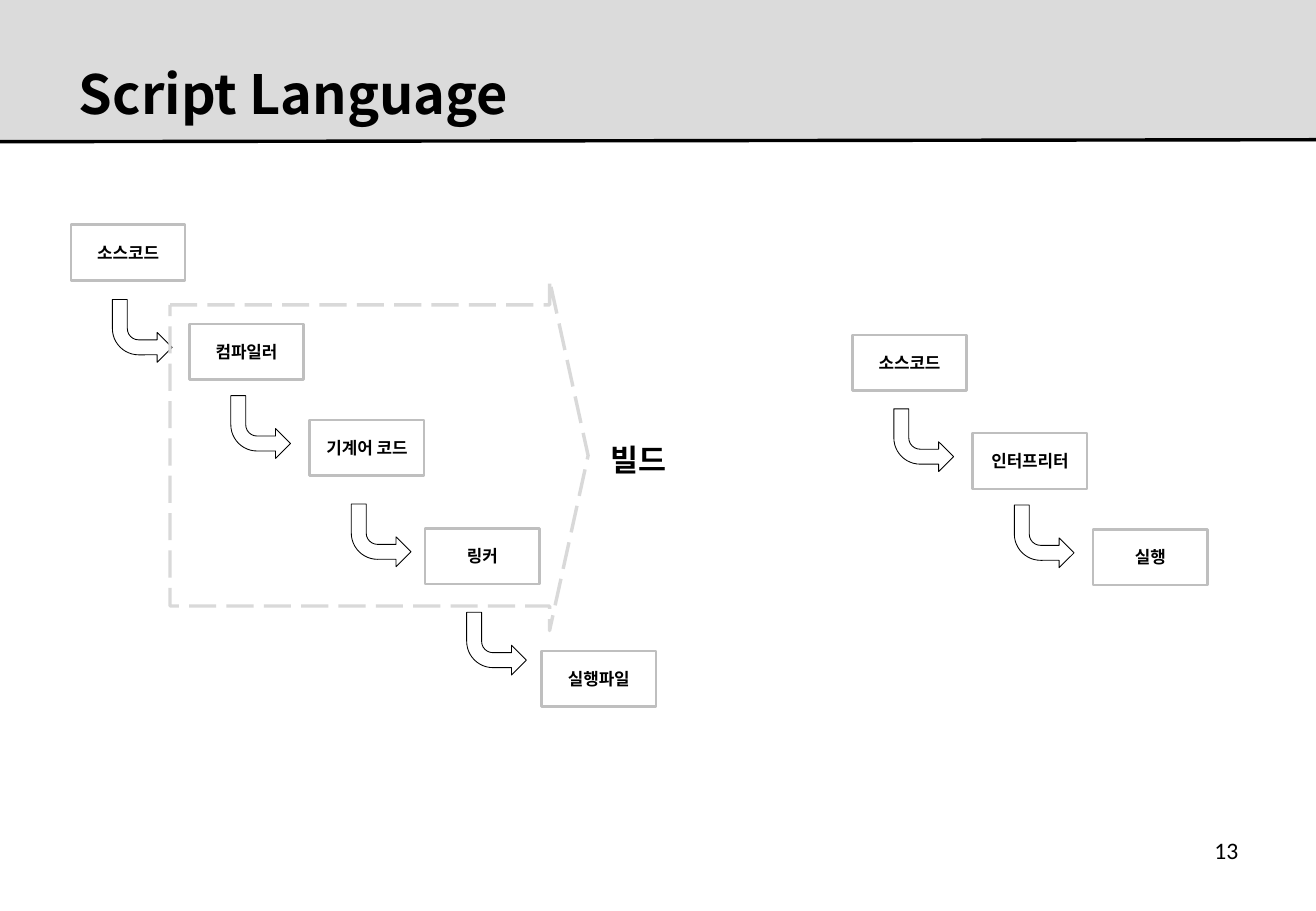
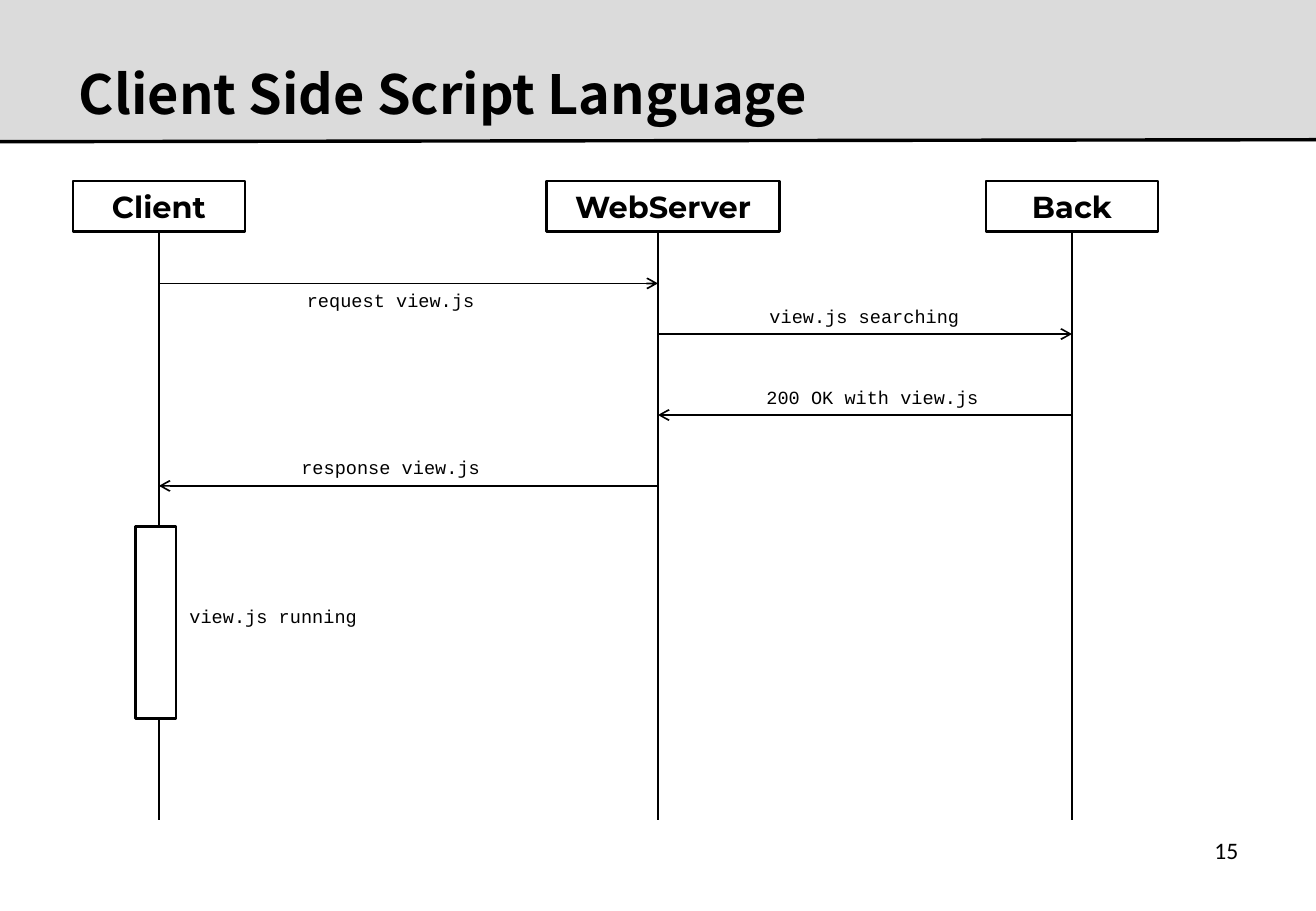
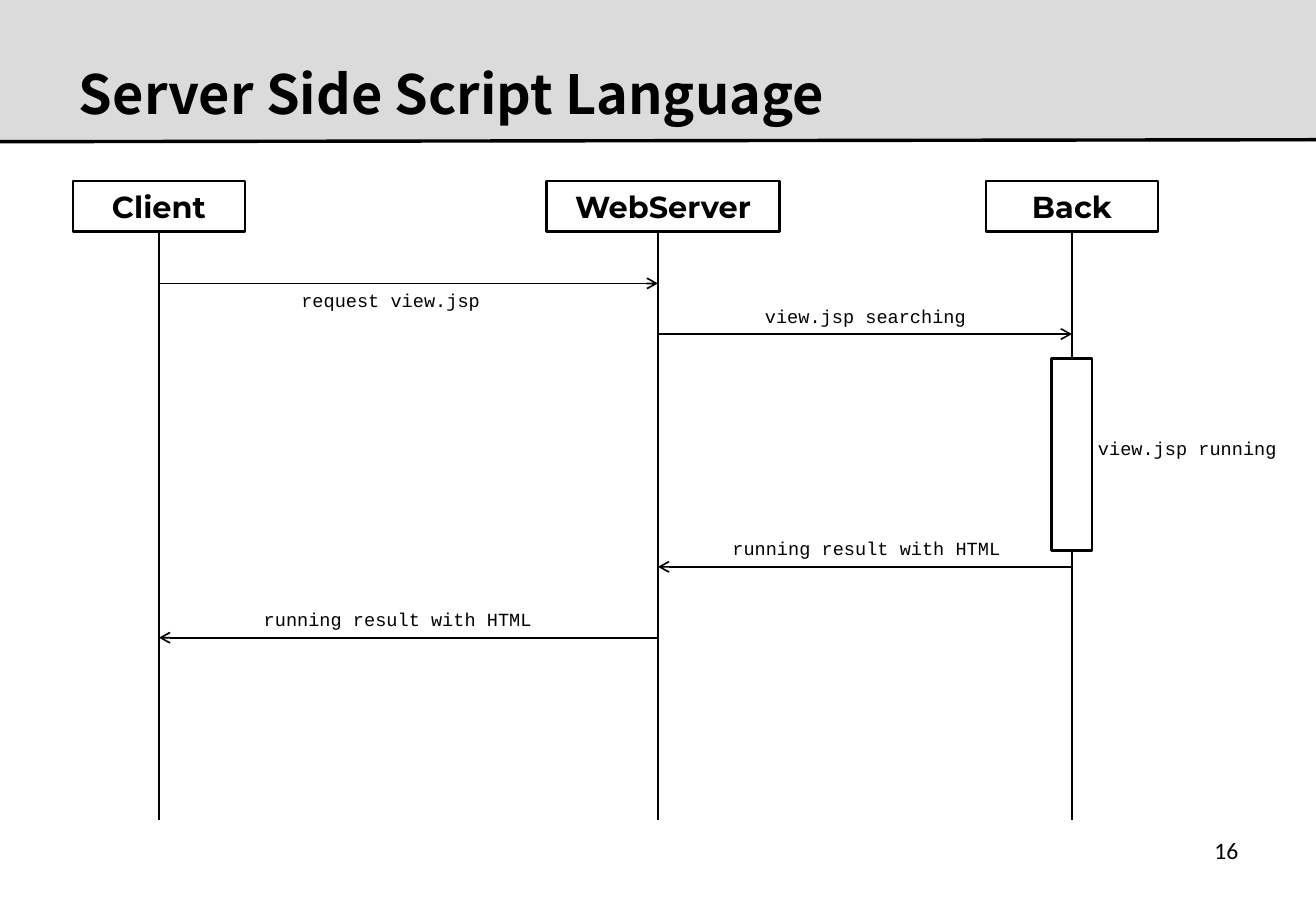
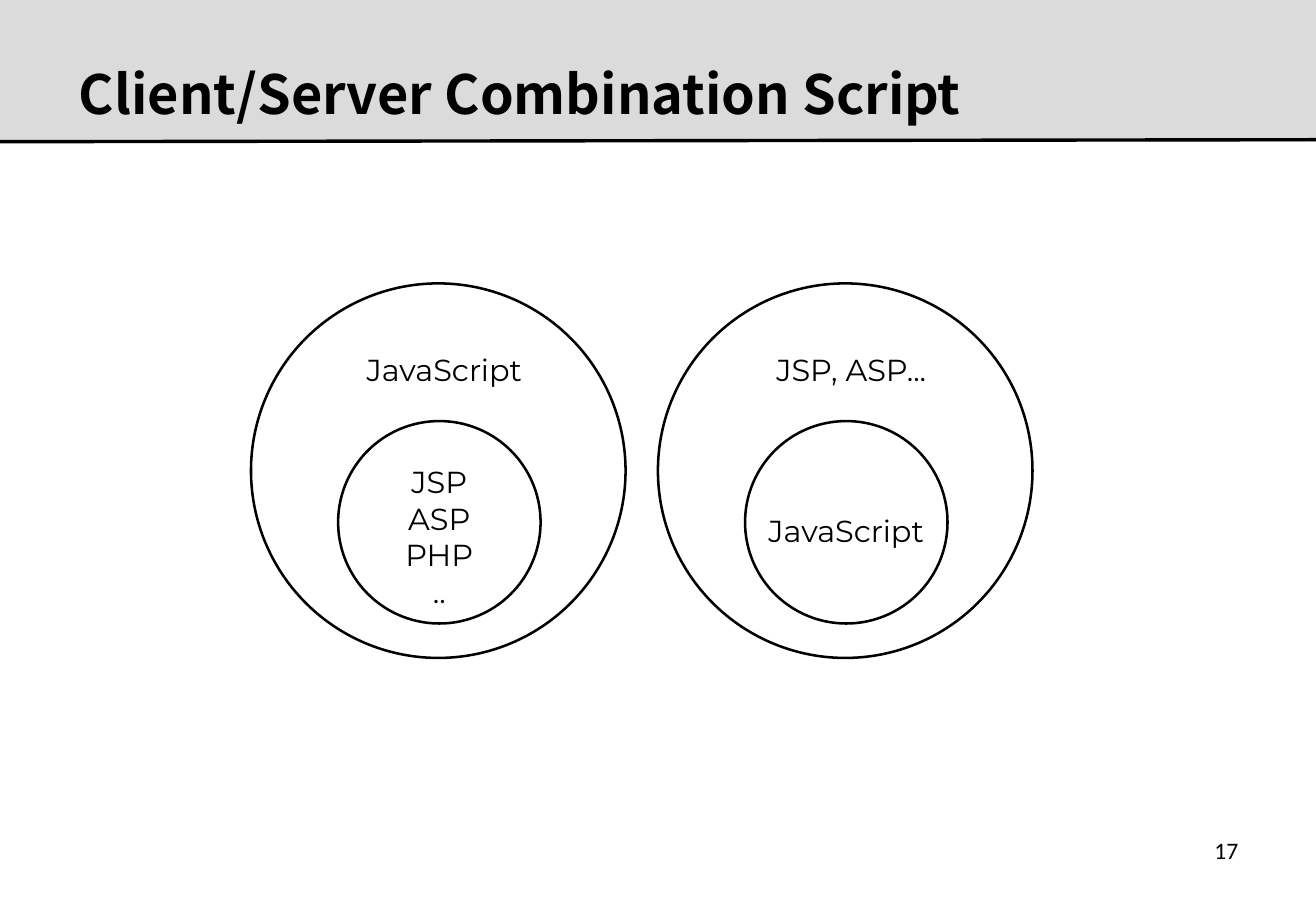
"""Build four slides about script languages: two flows, two sequences and a nesting diagram."""
from lxml.etree import SubElement
from pptx import Presentation
from pptx.dml.color import RGBColor
from pptx.enum.dml import MSO_LINE
from pptx.enum.shapes import MSO_CONNECTOR, MSO_SHAPE as Preset
from pptx.enum.text import MSO_ANCHOR as Anchor, PP_ALIGN as Align
from pptx.oxml.ns import qn
from pptx.util import Emu, Pt

EMU_PER_PX = 7620
SLIDE_WIDTH, SLIDE_HEIGHT = 1300, 900
BLACK, WHITE, BAND_GRAY = "000000", "FFFFFF", "DBDBDB"
BOX_GRAY, DASH_GRAY = "BFBFBF", "D9D9D9"
TITLE_FONT, BODY_FONT = "Noto Sans CJK KR", "Calibri"
CODE_FONT, LABEL_FONT = "Courier New", "Montserrat"

FLOW = {
    "title": "Script Language", "page": "13",
    "chains": [
        [("소스코드", 70, 222), ("컴파일러", 187, 320), ("기계어 코드", 306, 415),
         ("링커", 420, 522), ("실행파일", 535, 643)],
        [("소스코드", 842, 331), ("인터프리터", 961, 428), ("실행", 1080, 523)],
    ],
    "build": "빌드",
}
STEP_WIDTH, STEP_HEIGHT = 113, 55
BEND_WIDTH, BEND_HEIGHT = 59, 62

ACTORS = {
    "Client": (72, 170, 157),
    "WebServer": (540, 230, 650),
    "Back": (974, 170, 1059),
}
HEAD_TOP, HEAD_HEIGHT, LIFELINE_END = 179, 50, 810
BAR_WIDTH, BAR_HEIGHT, LABEL_HEIGHT = 40, 190, 35
SEQUENCES = [
    {
        "title": "Client Side Script Language", "page": "15",
        "messages": [
            ("request view.js", "Client", "WebServer", 280, 386, "below"),
            ("view.js searching", "WebServer", "Back", 330, 854, "above"),
            ("200 OK with view.js", "Back", "WebServer", 410, 862, "above"),
            ("response view.js", "WebServer", "Client", 480, 386, "above"),
        ],
        "running": ("view.js running", 134, 520, 270),
    },
    {
        "title": "Server Side Script Language", "page": "16",
        "messages": [
            ("request view.jsp", "Client", "WebServer", 280, 386, "below"),
            ("view.jsp searching", "WebServer", "Back", 330, 855, "above"),
            ("running result with HTML", "Back", "WebServer", 560, 856, "above"),
            ("running result with HTML", "WebServer", "Client", 630, 393, "above"),
        ],
        "running": ("view.jsp running", 1039, 354, 1173),
    },
]

NESTING = {
    "title": "Client/Server Combination Script", "page": "17",
    "pairs": [
        (["JavaScript"], ["JSP", "ASP", "PHP", ".."], 452),
        (["JSP, ASP..."], ["JavaScript"], 500),
    ],
}
PAIR_LEFT, PAIR_STEP, OUTER_SIZE, INNER_SIZE = 248, 402, 370, 200


def px(length):
    return Emu(round(length * EMU_PER_PX))


def color(value):
    return RGBColor.from_string(value)


def write(shape, lines, font, size, bold=False, align=Align.CENTER, anchor=Anchor.MIDDLE):
    frame = shape.text_frame
    frame.word_wrap = True
    frame.vertical_anchor = anchor
    frame.text = "\n".join(lines)
    for paragraph in frame.paragraphs:
        paragraph.alignment = align
        paragraph.font.name = font
        paragraph.font.size = Pt(size)
        paragraph.font.bold = bold
        paragraph.font.color.rgb = color(BLACK)


def add_label(slide, box, lines, font, size, bold=False, align=Align.CENTER):
    label = slide.shapes.add_textbox(*map(px, box))
    write(label, lines, font, size, bold, align, Anchor.TOP)


def add_block(slide, preset, box, line=BLACK, width=1.5, fill=WHITE):
    shape = slide.shapes.add_shape(preset, *map(px, box))
    shape.shadow.inherit = False
    if fill:
        shape.fill.solid()
        shape.fill.fore_color.rgb = color(fill)
    else:
        shape.fill.background()
    if line:
        shape.line.color.rgb = color(line)
        shape.line.width = Pt(width)
    else:
        shape.line.fill.background()
    return shape


def add_line(slide, start, end, width, arrow=False):
    line = slide.shapes.add_connector(MSO_CONNECTOR.STRAIGHT, *map(px, start + end))
    line.line.color.rgb = color(BLACK)
    line.line.width = Pt(width)
    properties = line.element.spPr
    if arrow:
        SubElement(properties.find(qn("a:ln")), qn("a:tailEnd"), type="arrow")
    SubElement(properties, qn("a:effectLst"))
    return line


def add_header(slide, layout):
    band = add_block(slide, Preset.RECTANGLE, (0, 0, SLIDE_WIDTH, 140), None, fill=BAND_GRAY)
    rule = add_line(slide, (0, 140), (SLIDE_WIDTH, 138), 2)
    for part in (band, rule):
        layout.placeholders[0].element.addprevious(part.element)


def add_slide(presentation, content):
    layout = presentation.slide_layouts[5]
    slide = presentation.slides.add_slide(layout)
    if len(presentation.slides) == 1:
        add_header(slide, layout)
    title = slide.shapes.title
    title.left, title.top, title.width, title.height = map(px, (66, 50, 1166, 84))
    write(title, [content["title"]], TITLE_FONT, 32, True, Align.LEFT)
    add_label(slide, (931, 820, 304, 62), [content["page"]], BODY_FONT, 14, align=Align.RIGHT)
    return slide


def add_bend(slide, left, top):
    bend = add_block(slide, Preset.BENT_ARROW, (left, top, BEND_WIDTH, BEND_HEIGHT), width=0.5)
    bend.adjustments[3] = 0.44
    bend.element.spPr.find(qn("a:xfrm")).set("flipV", "1")


def build_flow(presentation):
    slide = add_slide(presentation, FLOW)
    for chain in FLOW["chains"]:
        for text, left, top in chain:
            step = add_block(slide, Preset.RECTANGLE, (left, top, STEP_WIDTH, STEP_HEIGHT), BOX_GRAY)
            write(step, [text], BODY_FONT, 10, True)
        for (_, left, _), (_, _, next_top) in zip(chain, chain[1:]):
            add_bend(slide, left + 41, next_top - 24 - (14 if next_top == 643 else 0))
    frame = add_block(slide, Preset.RIGHT_ARROW, (168, 277, 413, 346), DASH_GRAY, 2, None)
    frame.adjustments[0], frame.adjustments[1] = 0.86, 0.11
    frame.line.dash_style = MSO_LINE.LONG_DASH
    add_label(slide, (581, 430, 100, 40), [FLOW["build"]], CODE_FONT, 18, True)


def build_sequence(presentation, content):
    slide = add_slide(presentation, content)
    for name, (left, width, lifeline_x) in ACTORS.items():
        head = add_block(slide, Preset.RECTANGLE, (left, HEAD_TOP, width, HEAD_HEIGHT))
        write(head, [name], LABEL_FONT, 18, True)
        lifeline = add_line(slide, (lifeline_x, HEAD_TOP + HEAD_HEIGHT), (lifeline_x, LIFELINE_END), 1.5)
        if left + width / 2 == lifeline_x:
            lifeline.begin_connect(head, 2)
    for text, sender, receiver, y, center, side in content["messages"]:
        add_line(slide, (ACTORS[sender][2], y), (ACTORS[receiver][2], y), 1, True)
        top = y if side == "below" else y - LABEL_HEIGHT
        add_label(slide, (center - 150, top, 300, LABEL_HEIGHT), [text], CODE_FONT, 11)
    text, left, top, center = content["running"]
    add_block(slide, Preset.RECTANGLE, (left, top, BAR_WIDTH, BAR_HEIGHT))
    label_top = top + (BAR_HEIGHT - LABEL_HEIGHT) // 2 - 5
    add_label(slide, (center - 115, label_top, 230, LABEL_HEIGHT), [text], CODE_FONT, 11)


def build_nesting(presentation):
    slide = add_slide(presentation, NESTING)
    for index, (outer, inner, inner_top) in enumerate(NESTING["pairs"]):
        left = PAIR_LEFT + index * PAIR_STEP
        inset = (OUTER_SIZE - INNER_SIZE) // 2
        add_block(slide, Preset.OVAL, (left, 280, OUTER_SIZE, OUTER_SIZE))
        add_block(slide, Preset.OVAL, (left + inset + 1, 416, INNER_SIZE, INNER_SIZE))
        add_label(slide, (left + 76, 341, 230, 48), outer, LABEL_FONT, 18)
        add_label(slide, (left + 71, inner_top, 230, 36 * len(inner) + 12), inner, LABEL_FONT, 18)


def main():
    presentation = Presentation()
    presentation.slide_width = px(SLIDE_WIDTH)
    presentation.slide_height = px(SLIDE_HEIGHT)
    build_flow(presentation)
    for content in SEQUENCES:
        build_sequence(presentation, content)
    build_nesting(presentation)
    presentation.save("out.pptx")


if __name__ == "__main__":
    main()
